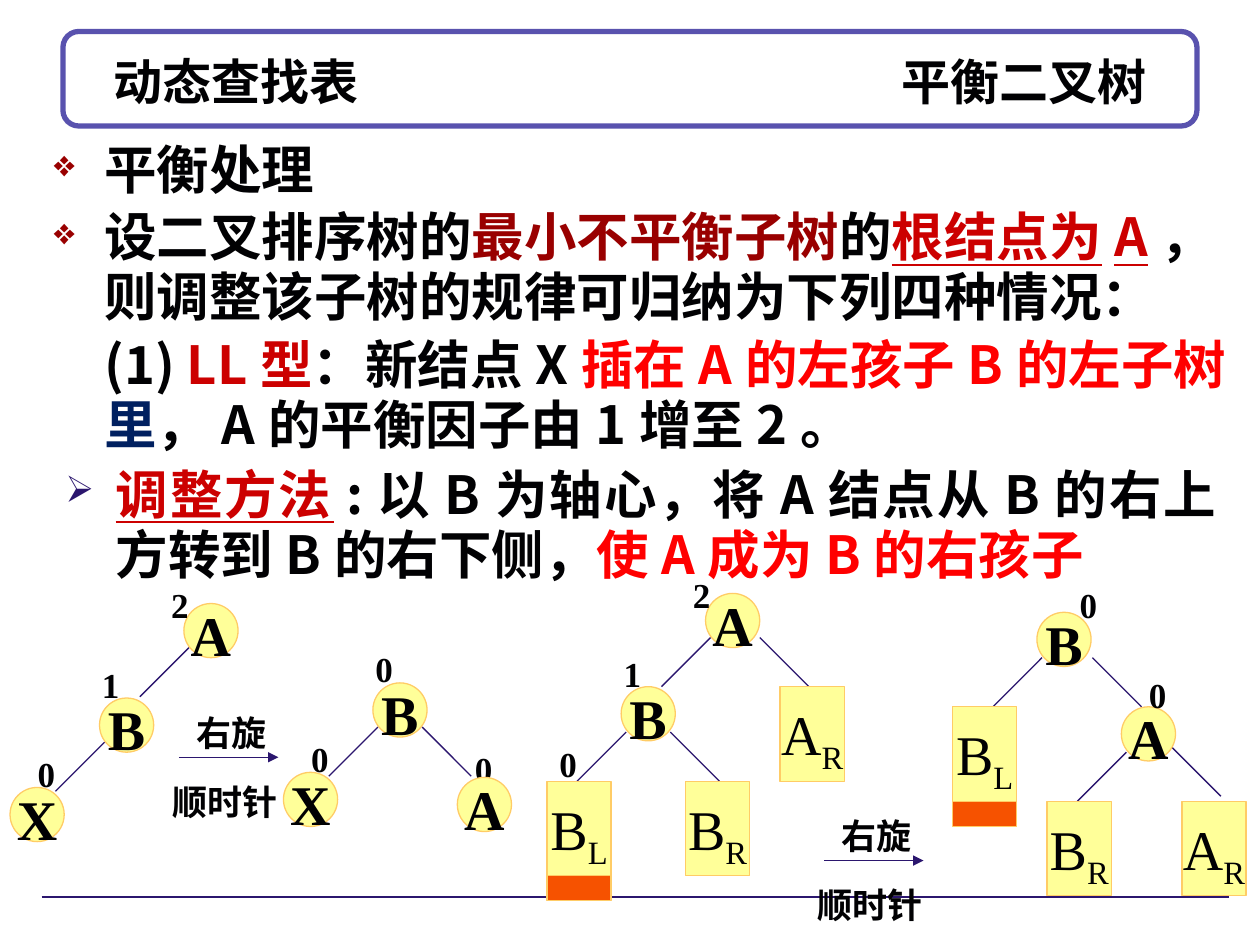
from lxml import etree
from pptx import Presentation
from pptx import util as u
from pptx.dml.color import RGBColor
from pptx.enum import shapes, text
from pptx.oxml import ns


class Theme:
    ink, navy, frame, white = "010103", "2B166E", "5952AE", "FFFFFF"
    node, edge, mark = "FFFF99", "FFCC66", "F65200"
    maroon, crimson, red, deep = "990000", "CC0000", "FF0000", "002060"
    serif, sans, east = "Times New Roman", "Lato", "Noto Sans CJK SC"
    title, body, letter, label = u.Pt(28), u.Pt(30), u.Pt(32), u.Pt(20)


TITLE = {"name": Theme.serif, "size": Theme.title, "bold": True}
BODY = {"name": Theme.east, "size": Theme.body, "bold": True}
LETTER = {"name": Theme.serif, "size": Theme.letter, "bold": True}
BOX = {"name": Theme.serif, "size": Theme.letter, "bold": False}
NUMBER = {"name": Theme.serif, "size": Theme.label, "bold": True}
CAPTION = {"name": Theme.sans, "size": Theme.label, "bold": True}
PLAIN = {}
UNDERLINED = {"underline": True}


def add_run(paragraph, content, style, color=Theme.ink):
    run = paragraph.add_run()
    run.text = content
    for name, value in style.items():
        setattr(run.font, name, value)
    run.font.color.rgb = RGBColor.from_string(color)
    properties = run._r.get_or_add_rPr()
    etree.SubElement(properties, ns.qn("a:ea"), typeface=Theme.east)
    return properties


def add_line(x1, y1, x2, y2, arrow=False):
    line = slide.shapes.add_connector(
        shapes.MSO_CONNECTOR.STRAIGHT, *map(u.Inches, (x1, y1, x2, y2)))
    line.line.color.rgb = RGBColor.from_string(Theme.navy)
    line.line.width = u.Pt(0.75)
    if arrow:
        etree.SubElement(line.line._get_or_add_ln(), ns.qn("a:tailEnd"), type="triangle")
    etree.SubElement(line._element.spPr, ns.qn("a:effectLst"))


presentation = Presentation()
presentation.slide_width, presentation.slide_height = u.Inches(10), u.Inches(7.5)
slide = presentation.slides.add_slide(presentation.slide_layouts[6])

banner = slide.shapes.add_shape(
    shapes.MSO_SHAPE.ROUNDED_RECTANGLE, *map(u.Inches, (0.5, 0.25, 9, 0.75)))
banner.shadow.inherit = False
banner.fill.solid()
banner.fill.fore_color.rgb = RGBColor.from_string(Theme.white)
banner.line.color.rgb = RGBColor.from_string(Theme.frame)
banner.line.width = u.Pt(3)
add_line(0.33, 7.12, 9.75, 7.12)

title = slide.shapes.add_textbox(*map(u.Inches, (0.5, 0.33, 9, 0.62)))
title.text_frame.word_wrap = True
title.text_frame.vertical_anchor = text.MSO_ANCHOR.MIDDLE
title.text_frame.margin_left = u.Inches(0.4)
paragraph = title.text_frame.paragraphs[0]
tabs = etree.SubElement(paragraph._p.get_or_add_pPr(), ns.qn("a:tabLst"))
etree.SubElement(tabs, ns.qn("a:tab"), pos=str(u.Inches(8.2)), algn="r")
add_run(paragraph, "动态查找表\t平衡二叉树", TITLE)

passages = [
    ((0.33, 1.03, 9.5, 2.63), [
        ("❖", Theme.maroon, [("平衡处理", Theme.ink, PLAIN)]),
        ("❖", Theme.maroon, [
            ("设二叉排序树的", Theme.ink, PLAIN),
            ("最小不平衡子树", Theme.maroon, PLAIN),
            ("的", Theme.ink, PLAIN),
            ("根结点为A", Theme.crimson, UNDERLINED),
            ("，则调整该子树的规律可归纳为下列四种情况：", Theme.ink, PLAIN)]),
        (None, None, [
            ("(1) ", Theme.ink, PLAIN),
            ("LL型", Theme.crimson, PLAIN),
            ("：新结点X", Theme.ink, PLAIN),
            ("插在A的左孩子B的左子树", Theme.red, PLAIN),
            ("里", Theme.deep, PLAIN),
            ("，A的平衡因子由1增至2。", Theme.ink, PLAIN)])]),
    ((0.42, 3.61, 9.33, 1.05), [
        ("➢", Theme.navy, [
            ("调整方法", Theme.crimson, UNDERLINED),
            (":以B为轴心，将A结点从B的右上方转到B的右下侧，", Theme.ink, PLAIN),
            ("使A成为B的右孩子", Theme.red, PLAIN)])]),
]
for place, paragraphs in passages:
    frame = slide.shapes.add_textbox(*map(u.Inches, place)).text_frame
    frame.word_wrap = True
    frame.margin_top = u.Inches(0.08)
    for index, (bullet, bullet_color, runs) in enumerate(paragraphs):
        paragraph = frame.add_paragraph() if index else frame.paragraphs[0]
        properties = paragraph._p.get_or_add_pPr()
        properties.set("marL", str(u.Inches(0.4)))
        properties.set("indent", str(u.Inches(-0.4 if bullet else 0)))
        if bullet:
            color = etree.SubElement(properties, ns.qn("a:buClr"))
            etree.SubElement(color, ns.qn("a:srgbClr"), val=bullet_color)
            etree.SubElement(properties, ns.qn("a:buSzPct"), val="70000")
            etree.SubElement(properties, ns.qn("a:buChar"), char=bullet)
        if bullet != "❖":
            paragraph.alignment = text.PP_ALIGN.JUSTIFY
        paragraph.line_spacing = u.Pt(34.2)
        paragraph.space_before = u.Pt(4.5 if index else 0)
        for content, color, extra in runs:
            add_run(paragraph, content, BODY | extra, color)

LEFT, RIGHT, REACH = -1, 1, 0.39
NODE_SIZE, BOX_WIDTH, BOX_HEIGHT, MARK_HEIGHT = 0.43, 0.51, 0.75, 0.2
trees = [
    {"edges": [(1.5, 5.14, LEFT), (0.83, 5.89, LEFT)],
     "nodes": [(1.46, 4.79, "A"), (0.79, 5.54, "B"), (0.08, 6.25, "X")],
     "numbers": [(0.2, 5.89, "0"), (0.71, 5.18, "1"), (1.26, 4.55, "2")]},
    {"edges": [(3, 5.77, LEFT), (3.35, 5.77, RIGHT)],
     "nodes": [(2.96, 5.42, "B"), (2.25, 6.13, "X")],
     "numbers": [(2.37, 5.77, "0"), (2.88, 5.06, "0"), (3.67, 5.85, "0")]},
    {"nodes": [(3.63, 6.17, "A")]},
    {"edges": [(5.64, 5.06, LEFT), (4.97, 5.81, LEFT), (6.03, 5.06, RIGHT), (5.32, 5.81, RIGHT)],
     "nodes": [(5.6, 4.71, "A"), (4.93, 5.45, "B")],
     "numbers": [(4.34, 5.81, "0"), (4.85, 5.1, "1"), (5.4, 4.47, "2")],
     "boxes": [(4.34, 6.2, "BL"), (5.44, 6.2, "BR"), (6.19, 5.45, "AR")],
     "marks": [(4.34, 6.95, "")]},
    {"edges": [(8.27, 5.22, LEFT), (8.94, 5.97, LEFT), (8.67, 5.22, RIGHT), (9.3, 5.93, RIGHT)],
     "nodes": [(8.23, 4.86, "B"), (8.9, 5.61, "A")],
     "numbers": [(8.47, 4.55, "0"), (9.02, 5.26, "0")],
     "boxes": [(7.56, 5.61, "BL"), (8.31, 6.36, "BR"), (9.38, 6.36, "AR")],
     "marks": [(7.56, 6.36, "")]},
]
kinds = {
    "nodes": (shapes.MSO_SHAPE.OVAL, NODE_SIZE, NODE_SIZE, Theme.node, LETTER),
    "boxes": (shapes.MSO_SHAPE.RECTANGLE, BOX_WIDTH, BOX_HEIGHT, Theme.node, BOX),
    "marks": (shapes.MSO_SHAPE.RECTANGLE, BOX_WIDTH, MARK_HEIGHT, Theme.mark, BOX),
}
for tree in trees:
    for x, y, side in tree.get("edges", []):
        add_line(x, y, x + side * REACH, y + REACH)
    for kind, (preset, width, height, fill, style) in kinds.items():
        for x, y, name in tree.get(kind, []):
            shape = slide.shapes.add_shape(preset, *map(u.Inches, (x, y, width, height)))
            shape.shadow.inherit = False
            shape.fill.solid()
            shape.fill.fore_color.rgb = RGBColor.from_string(fill)
            shape.line.color.rgb = RGBColor.from_string(Theme.edge)
            shape.line.width = u.Pt(0.75)
            if name:
                shape.text_frame.word_wrap = False
                shape.text_frame.vertical_anchor = text.MSO_ANCHOR.MIDDLE
                paragraph = shape.text_frame.paragraphs[0]
                paragraph.alignment = text.PP_ALIGN.CENTER
                paragraph.line_spacing = 1.1
                add_run(paragraph, name[0], style)
                if name[1:]:
                    add_run(paragraph, name[1:], style).set("baseline", "-25000")
    for x, y, number in tree.get("numbers", []):
        frame = slide.shapes.add_textbox(*map(u.Inches, (x, y, 0.35, 0.47))).text_frame
        frame.word_wrap = True
        frame.paragraphs[0].line_spacing = 1.1
        add_run(frame.paragraphs[0], number, NUMBER)

for x, y in [(1.42, 6.01), (6.54, 6.83)]:
    add_line(x, y, x + 0.79, y, arrow=True)
    captions = [("右旋", 0.04, -0.47, 0.79), ("顺时针", -0.15, 0.08, 1.18)]
    for caption, right, down, width in captions:
        frame = slide.shapes.add_textbox(
            *map(u.Inches, (x + right, y + down, width, 0.47))).text_frame
        frame.word_wrap = True
        frame.paragraphs[0].line_spacing = u.Pt(28)
        add_run(frame.paragraphs[0], caption, CAPTION)

presentation.save("out.pptx")
